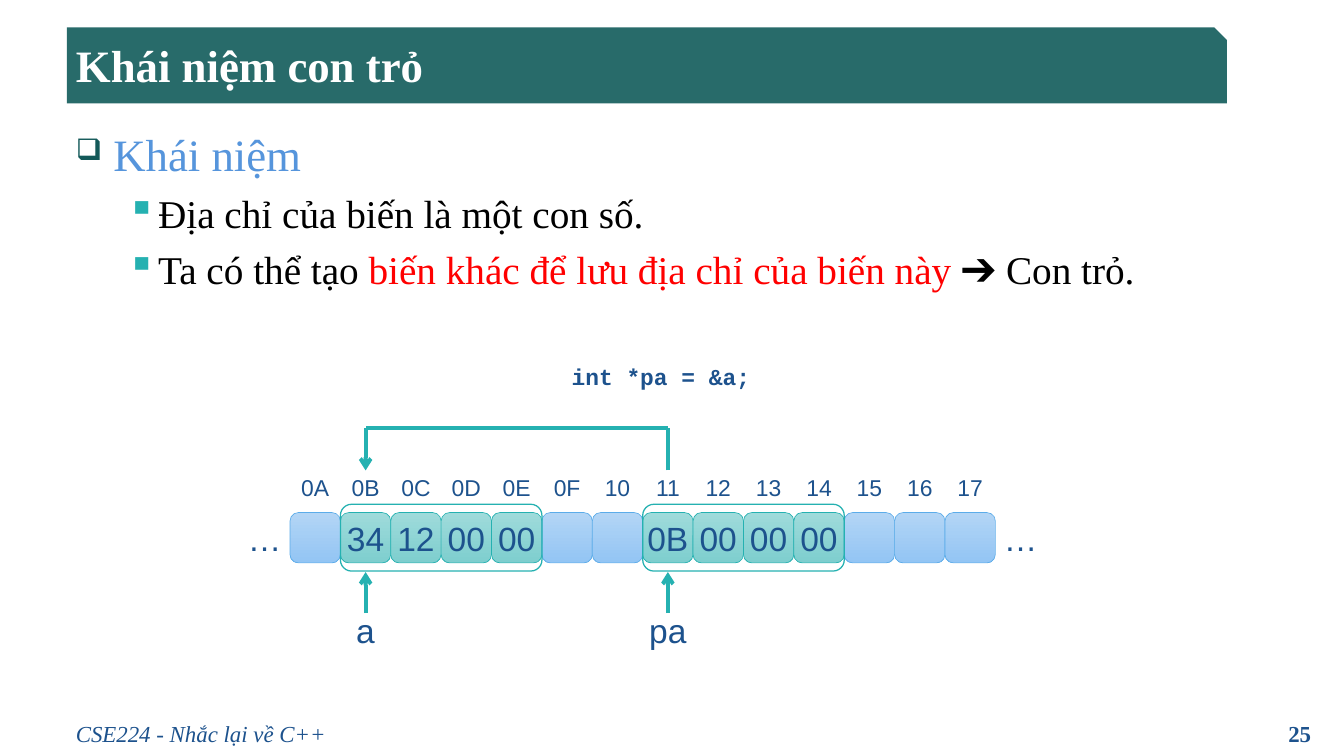
import pptx
import pptx.util
import pptx.dml.color
import pptx.enum.shapes
import pptx.enum.text
import pptx.oxml
import pptx.oxml.ns

Inches, Pt = pptx.util.Inches, pptx.util.Pt
RGB = pptx.dml.color.RGBColor.from_string
SHAPE = pptx.enum.shapes.MSO_SHAPE
ALIGN = pptx.enum.text.PP_ALIGN
MIDDLE = pptx.enum.text.MSO_ANCHOR.MIDDLE
qn = pptx.oxml.ns.qn

THEME = {
    "serif": "Times New Roman", "sans": "Arial", "mono": "Courier New",
    "banner": "286B6A", "white": "FFFFFF", "black": "000000", "red": "FF0000",
    "navy": "1D528D", "heading": "5695DC", "bullet": "135959", "teal": "25B1B1",
    "free": ("B3D5F5", "93C5F4", "5BACE9"), "used": ("9FDBDB", "7ECECE", "25B1B1"),
    "title_size": 35.3, "body_size": 30.9, "cell_size": 26.4, "small_size": 18,
}


def add_run(p, text, size, color, font, **styles):
    r = p.add_run()
    r.text = text
    r.font.color.rgb = RGB(THEME[color])
    formats = {"size": Pt(THEME[size]), "name": THEME[font], **styles}
    for name, value in formats.items():
        setattr(r.font, name, value)


def add_box(left, top, width, height, text="", size="cell_size"):
    """Unfilled rounded box with centred text."""
    sp = s.shapes.add_shape(SHAPE.ROUNDED_RECTANGLE, Inches(left), Inches(top),
                            Inches(width), Inches(height))
    sp.shadow.inherit = False
    sp.fill.background()
    sp.line.fill.background()
    tf = sp.text_frame
    tf.word_wrap, tf.vertical_anchor = False, MIDDLE
    if text:
        p = tf.paragraphs[0]
        p.alignment = ALIGN.CENTER
        add_run(p, text, size, "navy", "sans")
    return sp


prs = pptx.Presentation()
prs.slide_width, prs.slide_height = Inches(14.69), Inches(8.26)
s = prs.slides.add_slide(prs.slide_layouts[5])

# Title on its banner
title = s.shapes.title
banner = s.shapes.add_shape(SHAPE.SNIP_1_RECTANGLE, Inches(0.73), Inches(0.3),
                            Inches(12.68), Inches(0.83))
banner.shadow.inherit = False
banner.fill.solid()
banner.fill.fore_color.rgb = RGB(THEME["banner"])
banner.line.fill.background()
title.element.addprevious(banner.element)
title.left, title.top = Inches(0.73), Inches(0.37)
title.width, title.height = Inches(12.61), Inches(0.68)
title.text_frame.vertical_anchor = MIDDLE
p = title.text_frame.paragraphs[0]
p.alignment = ALIGN.LEFT
add_run(p, "Khái niệm con trỏ", "title_size", "white", "serif", bold=True)

# Bulleted text: level, indent, hanging, bullet, bullet colour, bullet %, size, runs
points = [
    (0, 0.41, 0.41, "❑", "bullet", 66, "title_size", [("Khái niệm", "heading")]),
    (1, 0.9, 0.34, "▪", "teal", 100, "body_size",
     [("Địa chỉ của biến là một con số.", "black")]),
    (1, 0.9, 0.34, "▪", "teal", 100, "body_size",
     [("Ta có thể tạo ", "black"),
      ("biến khác để lưu địa chỉ của biến này ", "red"),
      ("➔ Con trỏ.", "black")]),
]
body = s.shapes.add_textbox(Inches(0.73), Inches(1.33), Inches(13.69), Inches(6.19))
tf = body.text_frame
tf.word_wrap = True
for i, (level, indent, hanging, char, color, percent, size, runs) in enumerate(points):
    p = tf.add_paragraph() if i else tf.paragraphs[0]
    p.level, p.space_before = level, Pt(7)
    pPr = p._p.get_or_add_pPr()
    pPr.set("marL", str(Inches(indent)))
    pPr.set("indent", str(-Inches(hanging)))
    bullet = pptx.oxml.parse_xml(
        f'<a:pPr {pptx.oxml.ns.nsdecls("a")}>'
        f'<a:buClr><a:srgbClr val="{THEME[color]}"/></a:buClr>'
        f'<a:buSzPct val="{percent * 1000}"/><a:buChar char="{char}"/></a:pPr>')
    pPr.extend(list(bullet))
    for text, run_color in runs:
        add_run(p, text, size, run_color, "serif")

# Memory row: addresses above cells
ROW_LEFT, ROW_TOP, CELL = 3.17, 5.6, 0.55
PITCH = 7.71 / 14
FIRST_ADDRESS = 0x0A
variables = {"a": (1, ["34", "12", "00", "00"]), "pa": (7, ["0B", "00", "00", "00"])}
contents = {start + i: value for start, values in variables.values()
            for i, value in enumerate(values)}
for col in range(14):
    left = ROW_LEFT + col * PITCH
    cell = add_box(left, ROW_TOP, CELL, CELL, contents.get(col, ""))
    top_color, bottom_color, edge = THEME["used" if col in contents else "free"]
    cell.fill.gradient()
    cell.fill.gradient_angle = 270
    for stop, color in zip(cell.fill.gradient_stops, (top_color, bottom_color)):
        stop.color.rgb = RGB(color)
    cell.line.color.rgb, cell.line.width = RGB(edge), Pt(0.5)
    add_box(left, ROW_TOP - CELL, CELL, CELL, f"{FIRST_ADDRESS + col:02X}", "small_size")
for col in (-1, 14):
    add_box(ROW_LEFT + col * PITCH, ROW_TOP, CELL, CELL, "…")

# Variable outlines and names
centers = {}
for name, (start, values) in variables.items():
    left = ROW_LEFT + start * PITCH
    centers[name] = left + PITCH / 2
    outline = add_box(left, 5.51, len(values) * PITCH, 0.73)
    outline.line.color.rgb, outline.line.width = RGB(THEME["teal"]), Pt(1)
    add_box(left, 6.61, CELL, CELL, name)

# Name arrows and the pointer path from pa to a
a, pa = centers["a"], centers["pa"]
lines = [
    (a, 6.7, a, 6.25, True),
    (pa, 6.7, pa, 6.25, True),
    (pa, 5.14, pa, 4.68, False),
    (pa, 4.68, a, 4.68, False),
    (a, 4.68, a, 5.14, True),
]
for x1, y1, x2, y2, arrow in lines:
    line = s.shapes.add_connector(pptx.enum.shapes.MSO_CONNECTOR.STRAIGHT,
                                  Inches(x1), Inches(y1), Inches(x2), Inches(y2))
    line.line.color.rgb, line.line.width = RGB(THEME["teal"]), Pt(3)
    if arrow:
        tail = pptx.oxml.parse_xml(
            f'<a:tailEnd {pptx.oxml.ns.nsdecls("a")} type="arrow"/>')
        line.line._get_or_add_ln().append(tail)
    spPr = line.element.spPr
    spPr.append(spPr.makeelement(qn("a:effectLst"), {}))

# Code line, footer and page number
captions = [
    (6.15, 3.91, 2.16, 0.4, "int *pa = &a;", "mono", ALIGN.LEFT, {"bold": True}),
    (0.73, 7.81, 4.65, 0.39, "CSE224 - Nhắc lại về C++", "serif", ALIGN.LEFT,
     {"italic": True}),
    (11, 7.81, 3.43, 0.39, "25", "serif", ALIGN.RIGHT, {"bold": True}),
]
for left, top, width, height, text, font, align, styles in captions:
    box = s.shapes.add_textbox(Inches(left), Inches(top), Inches(width), Inches(height))
    box.text_frame.word_wrap = font != "mono"
    p = box.text_frame.paragraphs[0]
    p.alignment = align
    add_run(p, text, "small_size", "navy", font, **styles)

prs.save("out.pptx")
